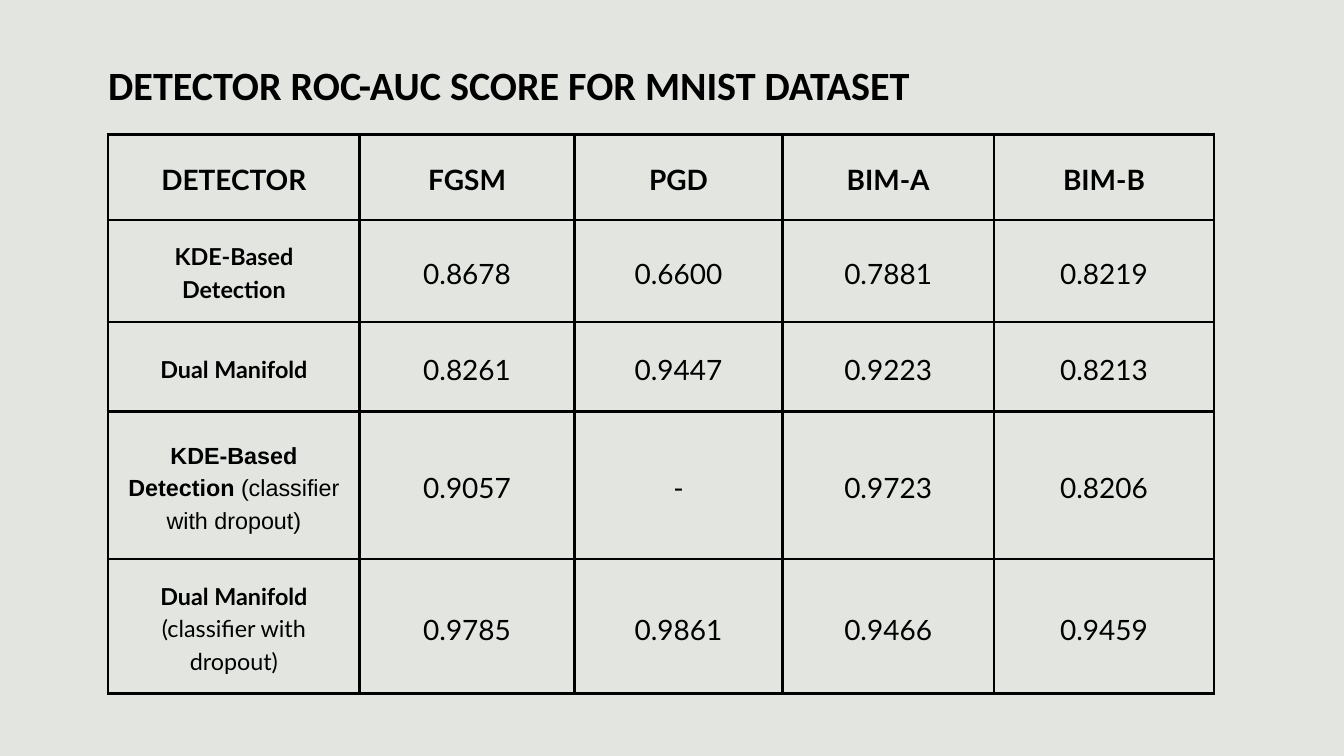
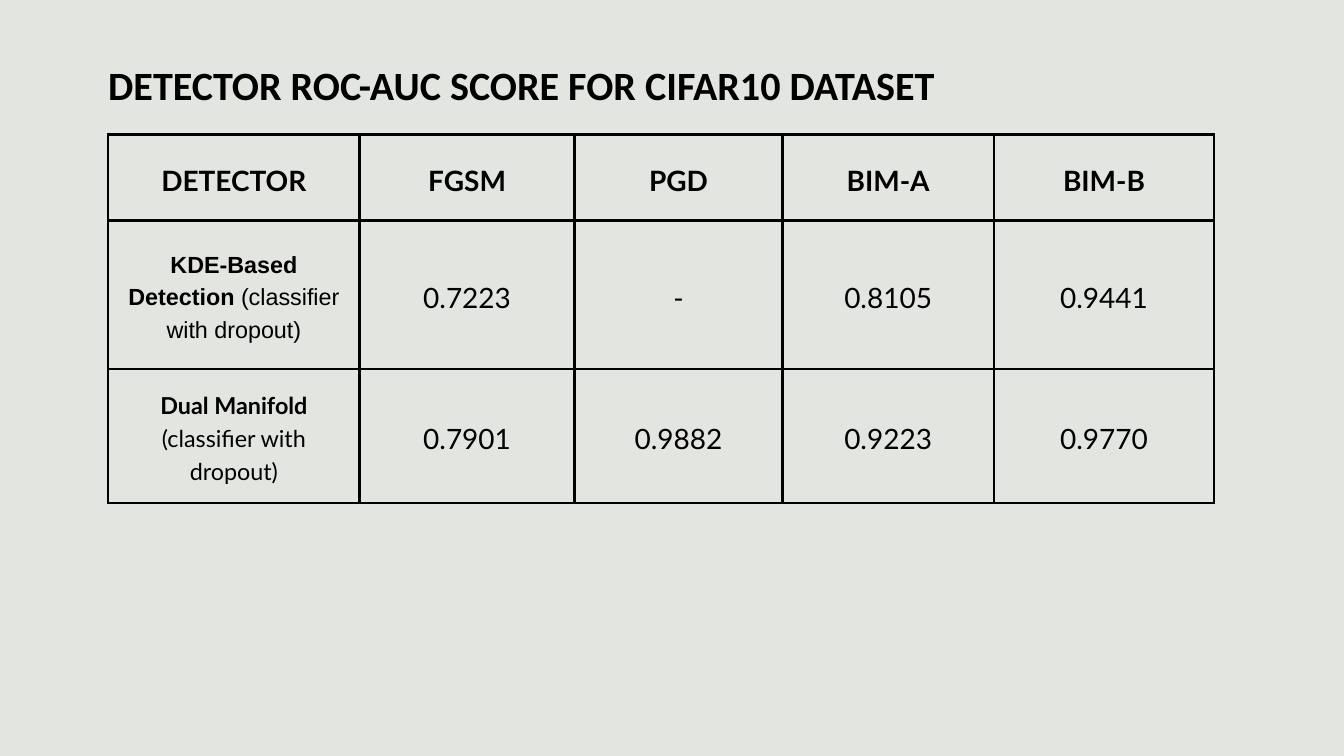
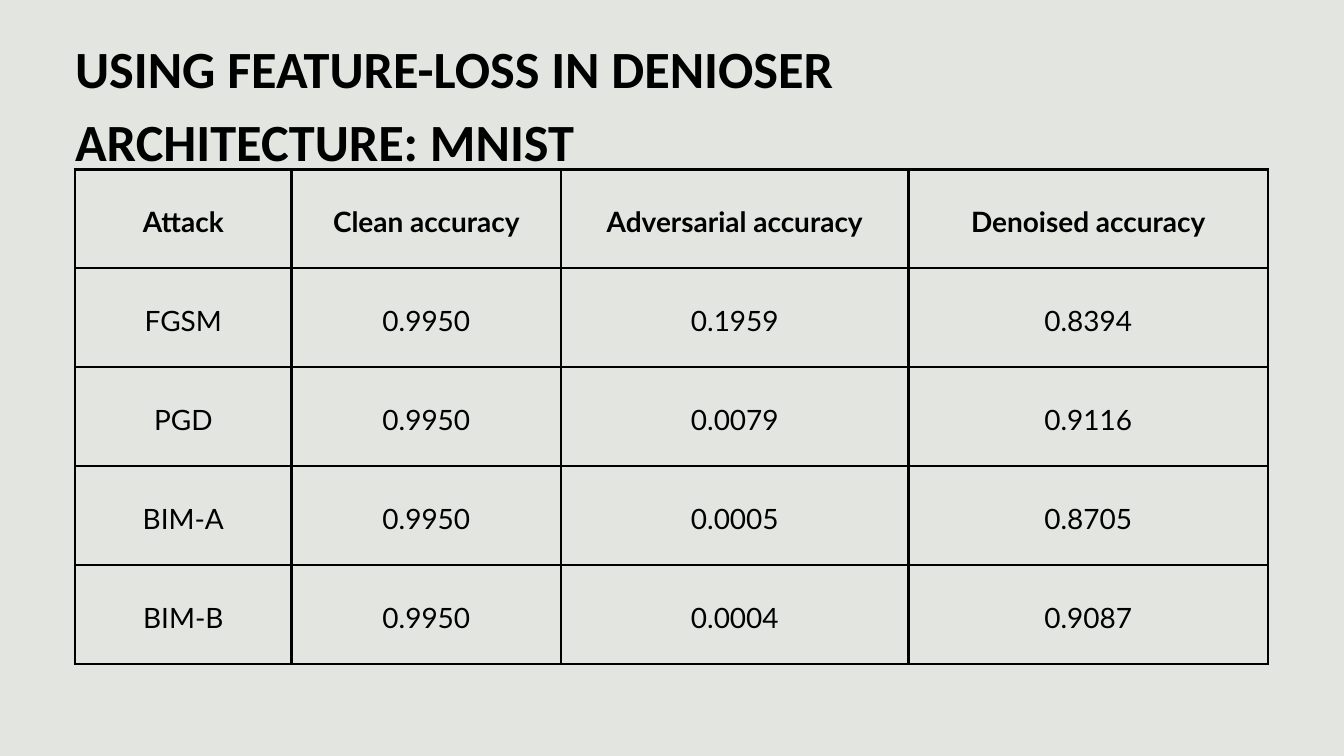
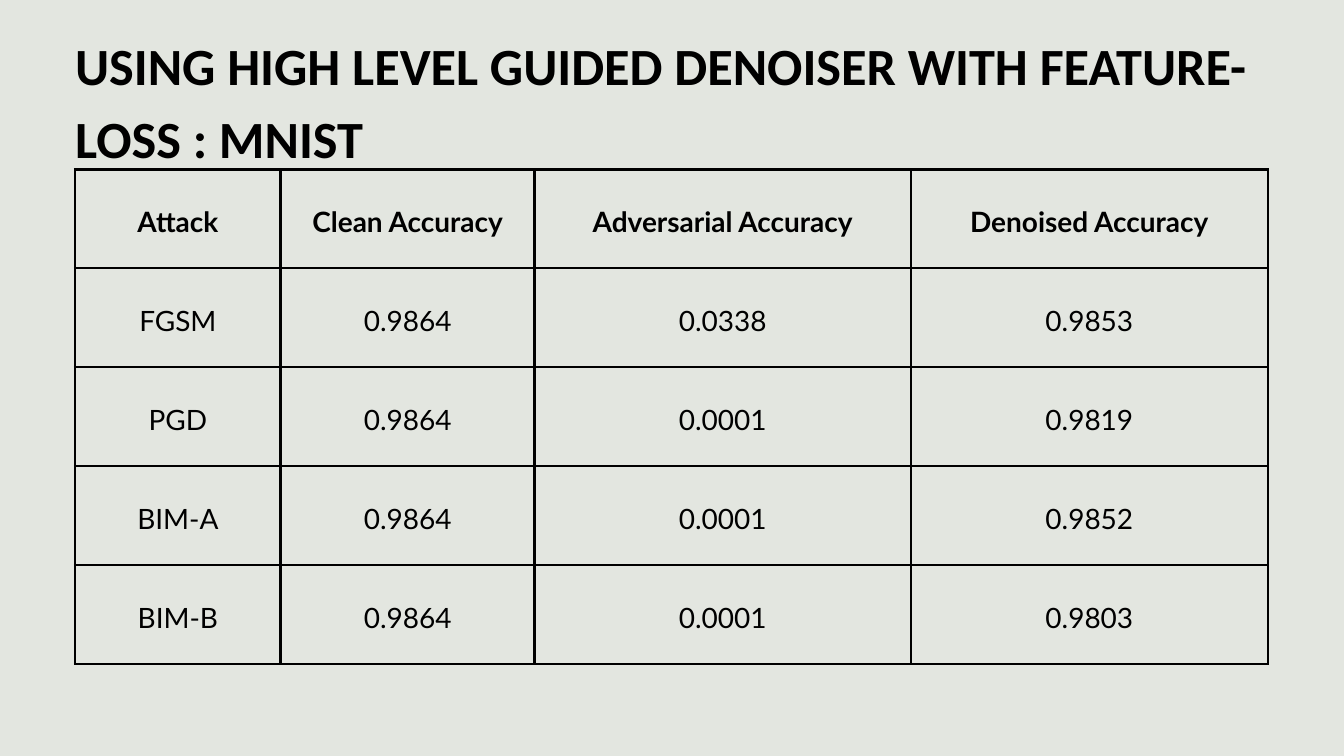
"""Build four slides of detector scores and denoiser accuracies."""
from lxml.etree import SubElement
from pptx import Presentation
from pptx.dml.color import RGBColor
from pptx.enum.text import MSO_ANCHOR, MSO_AUTO_SIZE, PP_ALIGN
from pptx.oxml.ns import qn
from pptx.util import Cm, Pt

PAPER = "E3E6E0"
INK = "000000"
BORDER = Pt(3)
INSET = Cm(0.53)
DETECTOR_COLUMNS = [9.5, 8.13, 7.85, 8, 8.32]
DETECTOR_HEADER = ["DETECTOR", "FGSM", "PGD", "BIM-A", "BIM-B"]
DROPOUT = " (classifier with dropout)"


def color(value):
    return RGBColor.from_string(value)


def write(frame, text, note="", font="Lato", size=30, spacing=42, bold=False, align=PP_ALIGN.CENTER):
    frame.word_wrap = True
    para = frame.paragraphs[0]
    para.alignment = align
    para.line_spacing = Pt(spacing)
    for words, heavy in [(text, bold), (note, False)]:
        if words:
            span = para.add_run()
            span.text = words
            span.font.name = font
            span.font.size = Pt(size)
            span.font.bold = heavy
            span.font.color.rgb = color(INK)


detector_layout = {
    "left": 4.09, "table_top": 5.08, "columns": DETECTOR_COLUMNS,
    "title_top": 1.07, "title_width": 38.2, "title_height": 2.69,
    "title_size": 43, "title_spacing": 86,
}
denoiser_layout = {
    "left": 2.84, "table_top": 6.4, "heights": [3.74] * 5,
    "title_height": 5.44, "title_size": 56, "title_spacing": 78.4,
}
pages = [
    detector_layout | {
        "title": "DETECTOR ROC-AUC SCORE FOR MNIST DATASET",
        "heights": [3.23, 3.86, 3.38, 5.59, 5.08],
        "rows": [
            DETECTOR_HEADER,
            ["KDE-Based Detection", "0.8678", "0.6600", "0.7881", "0.8219"],
            ["Dual Manifold", "0.8261", "0.9447", "0.9223", "0.8213"],
            ["KDE-Based Detection" + DROPOUT, "0.9057", "-", "0.9723", "0.8206"],
            ["Dual Manifold" + DROPOUT, "0.9785", "0.9861", "0.9466", "0.9459"],
        ],
    },
    detector_layout | {
        "title": "DETECTOR ROC-AUC SCORE FOR CIFAR10 DATASET",
        "heights": [3.25, 5.61, 5.08],
        "rows": [
            DETECTOR_HEADER,
            ["KDE-Based Detection" + DROPOUT, "0.7223", "-", "0.8105", "0.9441"],
            ["Dual Manifold" + DROPOUT, "0.7901", "0.9882", "0.9223", "0.9770"],
        ],
    },
    denoiser_layout | {
        "title": "USING FEATURE-LOSS IN DENIOSER ARCHITECTURE: MNIST",
        "title_top": 0.97, "title_width": 41.66,
        "columns": [8.18, 10.19, 13.13, 13.59],
        "rows": [
            ["Attack", "Clean accuracy", "Adversarial accuracy", "Denoised accuracy"],
            ["FGSM", "0.9950", "0.1959", "0.8394"],
            ["PGD", "0.9950", "0.0079", "0.9116"],
            ["BIM-A", "0.9950", "0.0005", "0.8705"],
            ["BIM-B", "0.9950", "0.0004", "0.9087"],
        ],
    },
    denoiser_layout | {
        "title": "USING HIGH LEVEL GUIDED DENOISER WITH FEATURE-LOSS : MNIST",
        "title_top": 0.86, "title_width": 44.88,
        "columns": [7.77, 9.6, 14.22, 13.49],
        "rows": [
            ["Attack", "Clean Accuracy", "Adversarial Accuracy", "Denoised Accuracy"],
            ["FGSM", "0.9864", "0.0338", "0.9853"],
            ["PGD", "0.9864", "0.0001", "0.9819"],
            ["BIM-A", "0.9864", "0.0001", "0.9852"],
            ["BIM-B", "0.9864", "0.0001", "0.9803"],
        ],
    },
]

deck = Presentation()
deck.slide_width = Cm(50.8)
deck.slide_height = Cm(28.58)

for page in pages:
    slide = deck.slides.add_slide(deck.slide_layouts[6])
    slide.background.fill.solid()
    slide.background.fill.fore_color.rgb = color(PAPER)

    rows, columns, heights = page["rows"], page["columns"], page["heights"]
    table = slide.shapes.add_table(
        len(rows), len(columns), Cm(page["left"]), Cm(page["table_top"]),
        Cm(sum(columns)), Cm(sum(heights)),
    ).table
    table.first_row = False
    table.horz_banding = False
    for column, width in zip(table.columns, columns):
        column.width = Cm(width)
    for row, height in zip(table.rows, heights):
        row.height = Cm(height)

    for row_index, row in enumerate(rows):
        for column_index, text in enumerate(row):
            cell = table.cell(row_index, column_index)
            cell.vertical_anchor = MSO_ANCHOR.MIDDLE
            cell.margin_left = cell.margin_right = INSET
            cell.margin_top = cell.margin_bottom = INSET
            properties = cell._tc.get_or_add_tcPr()
            for side in ["a:lnL", "a:lnR", "a:lnT", "a:lnB"]:
                line = SubElement(properties, qn(side), w=str(BORDER))
                SubElement(SubElement(line, qn("a:solidFill")), qn("a:srgbClr"), val=INK)
            cell.fill.background()

            if row_index and column_index == 0 and columns == DETECTOR_COLUMNS:
                name, gap, note = text.partition(DROPOUT)
                font = "Arial" if gap and name.startswith("KDE") else "Lato"
                write(cell.text_frame, name, note=gap, font=font, size=25, spacing=35, bold=True)
            else:
                write(cell.text_frame, text, bold=row_index == 0)

    box = slide.shapes.add_textbox(
        Cm(page["left"]), Cm(page["title_top"]), Cm(page["title_width"]), Cm(page["title_height"])
    )
    frame = box.text_frame
    frame.margin_left = frame.margin_right = frame.margin_top = frame.margin_bottom = 0
    frame.auto_size = MSO_AUTO_SIZE.SHAPE_TO_FIT_TEXT
    write(frame, page["title"], font="Calibri", size=page["title_size"],
          spacing=page["title_spacing"], bold=True, align=PP_ALIGN.LEFT)

deck.save("out.pptx")
